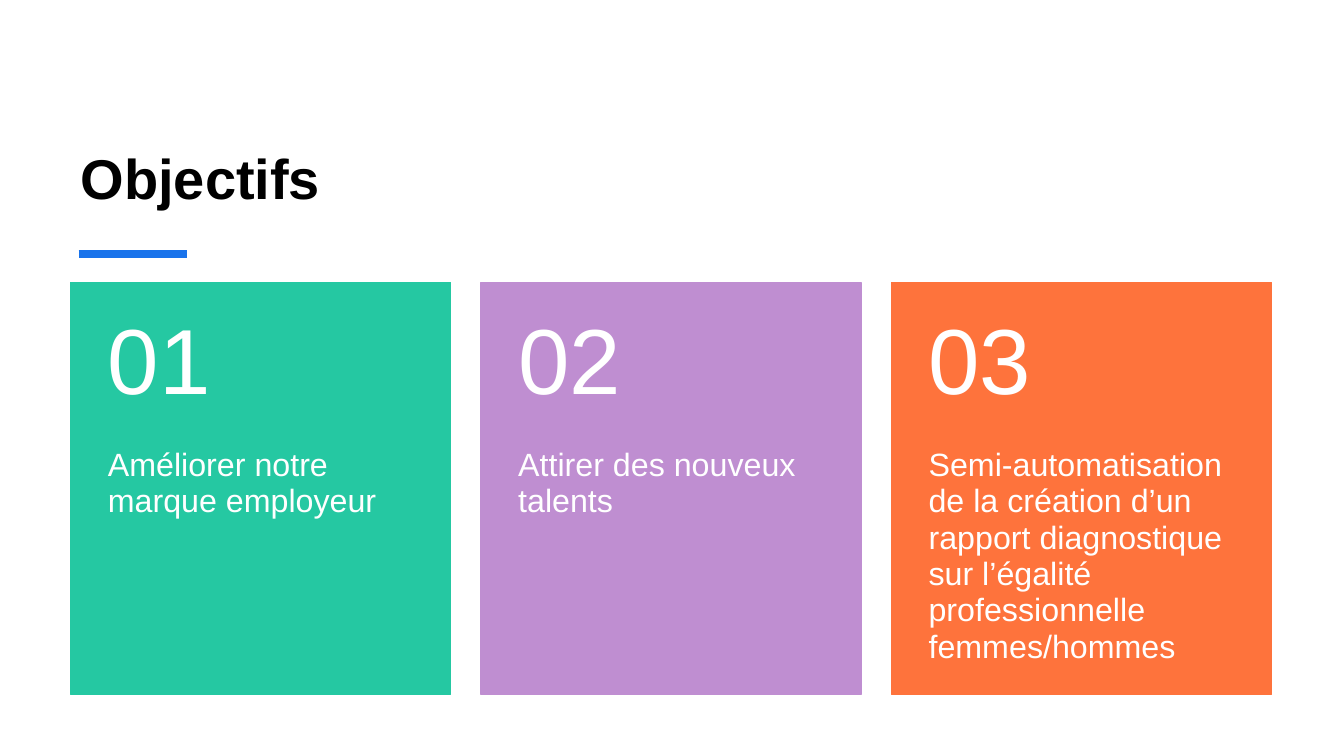
"""Builds the objectives slide: a title, an accent line and three numbered cards."""
import pptx
import pptx.util
import pptx.dml.color
import pptx.enum.shapes
import pptx.enum.text
import pptx.oxml

PX = 9144
FONT = "Arial"
HUES = {"black": "000000", "white": "FFFFFF", "blue": "1973EB",
        "green": "25C8A2", "mauve": "BF8ED1", "orange": "FE733C"}
ANCHOR = pptx.enum.text.MSO_ANCHOR


def hue(name):
    return pptx.dml.color.RGBColor.from_string(HUES[name])


def write(frame, text, size, color="white", bold=False, anchor=ANCHOR.TOP,
          pads=(10, 5, 10, 5), space=1.0):
    frame.word_wrap = True
    frame.auto_size = pptx.enum.text.MSO_AUTO_SIZE.NONE
    frame.vertical_anchor = anchor
    left, top, right, low = [pad * PX for pad in pads]
    frame.margin_left, frame.margin_top = left, top
    frame.margin_right, frame.margin_bottom = right, low
    para = frame.paragraphs[0]
    para.alignment = pptx.enum.text.PP_ALIGN.LEFT
    para.line_spacing = space
    run = para.add_run()
    run.text = text
    run.font.name = FONT
    run.font.size = pptx.util.Pt(size)
    run.font.bold = bold
    run.font.color.rgb = hue(color)


deck = pptx.Presentation()
deck.slide_width, deck.slide_height = 1333 * PX, 750 * PX
slide = deck.slides.add_slide(deck.slide_layouts[5])
shapes = slide.shapes

title = shapes.title
title.left, title.top, title.width, title.height = 70 * PX, 62 * PX, 1191 * PX, 152 * PX
write(title.text_frame, "Objectifs", 40, color="black", bold=True, anchor=ANCHOR.BOTTOM)

accent = shapes.add_connector(pptx.enum.shapes.MSO_CONNECTOR.STRAIGHT,
                              78 * PX, 252 * PX, 185 * PX, 252 * PX)
accent.line.color.rgb = hue("blue")
accent.line.width = pptx.util.Pt(6)
accent.element.spPr.append(pptx.oxml.parse_xml(
    '<a:effectLst xmlns:a="http://schemas.openxmlformats.org/drawingml/2006/main"/>'))

LEFT, TOP, WIDE, HIGH, STEP, HEAD = 70, 280, 377, 409, 407, 164
GOALS = [
    ("green", "Améliorer notre marque employeur"),
    ("mauve", "Attirer des nouveux talents"),
    ("orange", "Semi-automatisation de la création d’un rapport diagnostique "
               "sur l’égalité professionnelle femmes/hommes"),
]
for index, (color, goal) in enumerate(GOALS):
    left = (LEFT + index * STEP) * PX
    card = shapes.add_shape(pptx.enum.shapes.MSO_SHAPE.RECTANGLE,
                            left, TOP * PX, WIDE * PX, HIGH * PX)
    card.shadow.inherit = False
    card.fill.solid()
    card.fill.fore_color.rgb = hue(color)
    card.line.color.rgb = hue(color)
    card.line.width = pptx.util.Pt(1)
    body = shapes.add_textbox(left, (TOP + HEAD) * PX, WIDE * PX, (HIGH - HEAD) * PX)
    write(body.text_frame, goal, 23, pads=(37, 0, 37, 36), space=0.94)
    number = shapes.add_textbox(left, TOP * PX, WIDE * PX, HEAD * PX)
    write(number.text_frame, f"{index + 1:02}", 66, anchor=ANCHOR.MIDDLE,
          pads=(37, 18, 37, 18), space=0.9)

deck.save("out.pptx")
